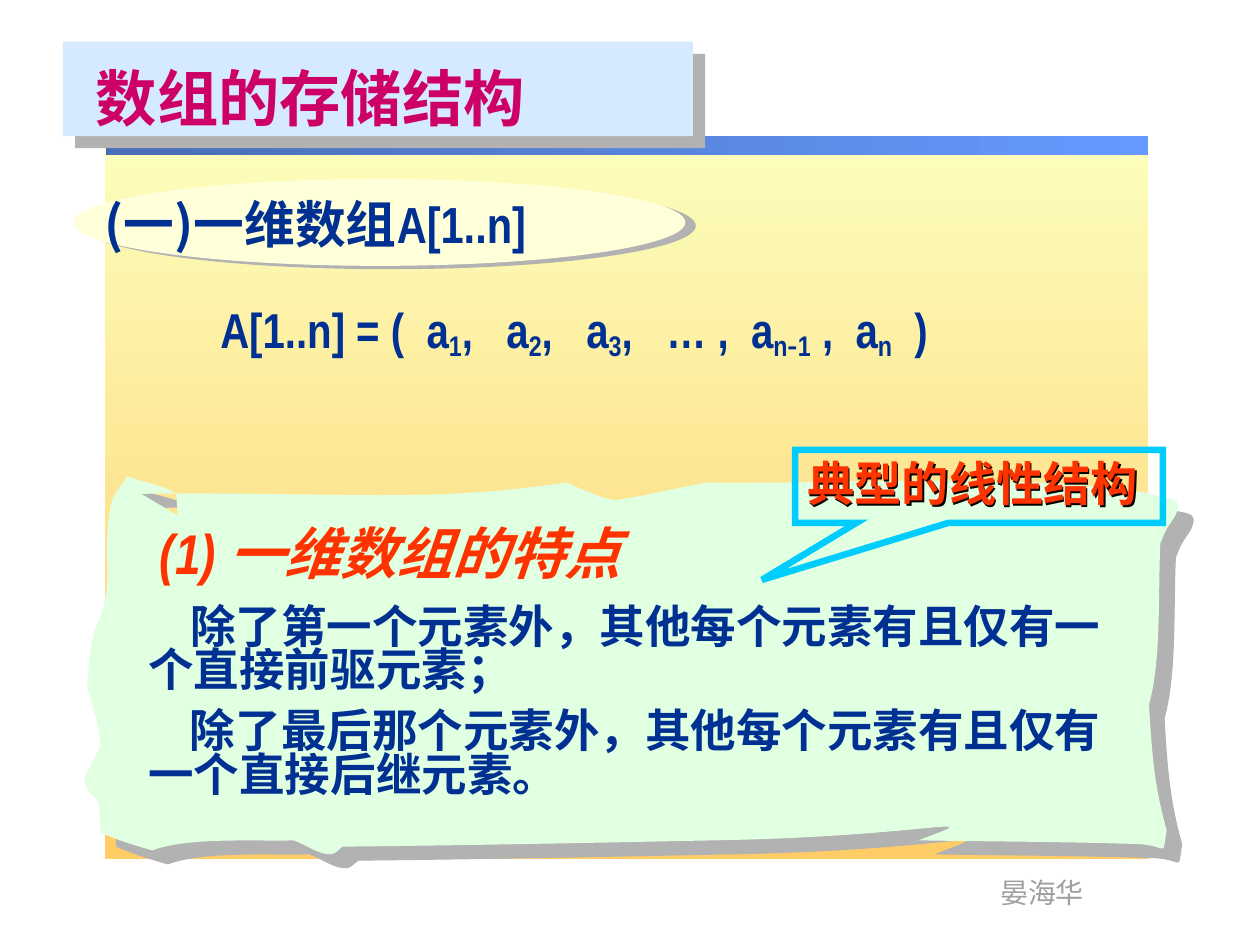
import pptx
import pptx.util
import pptx.dml.color
import pptx.enum.shapes
import pptx.enum.text
import pptx.oxml
import pptx.oxml.ns

RGBColor = pptx.dml.color.RGBColor
SHAPE = pptx.enum.shapes.MSO_SHAPE
Pt = pptx.util.Pt

PX = 9144  # EMU per px, 100 px to the inch
LATIN, HAN = "Arial Narrow", "Noto Sans CJK SC"
NAMESPACE = pptx.oxml.ns.nsdecls("a")

NAVY = RGBColor(0x00, 0x31, 0x92)
RED = RGBColor(0xFF, 0x33, 0x00)
MAGENTA = RGBColor(0xCC, 0x00, 0x66)
GREY = RGBColor(0x9F, 0x9F, 0x9F)
SHADOW = RGBColor(0xB2, 0xB2, 0xB2)
BLACK = RGBColor(0x00, 0x00, 0x00)
CYAN = RGBColor(0x00, 0xCC, 0xFF)
SKY = RGBColor(0xD5, 0xEA, 0xFF)
CREAM = RGBColor(0xFF, 0xFF, 0xD9)
MINT = RGBColor(0xE1, 0xFF, 0xE1)
PALE_YELLOW = RGBColor(0xFC, 0xFE, 0xBC)
ORANGE = RGBColor(0xFF, 0xCC, 0x66)
STEEL = RGBColor(0x49, 0x6D, 0xB6)
BLUE = RGBColor(0x66, 0x99, 0xFF)


def add_shadow(shape, color, distance, angle):
    shape.shadow.inherit = False
    effects = shape._element.spPr.find(pptx.oxml.ns.qn("a:effectLst"))
    effects.append(pptx.oxml.parse_xml(
        f'<a:outerShdw {NAMESPACE} blurRad="0" dist="{Pt(distance)}" '
        f'dir="{angle * 60000}" algn="tl" rotWithShape="0">'
        f'<a:srgbClr val="{color}"/></a:outerShdw>'))


def write(box, parts, size, color, bold=True, italic=False):
    """Fill a text frame; each part is its text, font and baseline shift in percent."""
    frame = box.text_frame
    frame.word_wrap = True
    frame.auto_size = pptx.enum.text.MSO_AUTO_SIZE.NONE
    frame.vertical_anchor = pptx.enum.text.MSO_ANCHOR.TOP
    para = frame.paragraphs[0]
    para.alignment = pptx.enum.text.PP_ALIGN.LEFT
    for text, font, shift in parts:
        span = para.add_run()
        span.text = text
        span.font.size = Pt(size)
        span.font.bold = bold
        span.font.italic = italic
        span.font.color.rgb = color
        span.font.name = font
        properties = span._r.get_or_add_rPr()
        if shift:
            properties.set("baseline", str(shift * 1000))
        properties.find(pptx.oxml.ns.qn("a:latin")).addnext(
            pptx.oxml.parse_xml(f'<a:ea {NAMESPACE} typeface="{HAN}"/>'))
    return para


deck = pptx.Presentation()
deck.slide_width, deck.slide_height = 1000 * PX, 750 * PX
page = deck.slides.add_slide(deck.slide_layouts[5])
shapes = page.shapes

# Yellow panel and the blue bar along its top
for left, top, width, height, start, end, angle in (
    (83, 110, 828, 572, PALE_YELLOW, ORANGE, 270),
    (84, 108, 827, 15, STEEL, BLUE, 0),
):
    panel = shapes.add_shape(SHAPE.RECTANGLE, left * PX, top * PX, width * PX, height * PX)
    panel.shadow.inherit = False
    panel.line.fill.background()
    panel.fill.gradient()
    panel.fill.gradient_angle = angle
    for stop, color in zip(panel.fill.gradient_stops, (start, end)):
        stop.color.rgb = color

# Author
author = shapes.add_textbox(784 * PX, 690 * PX, 87 * PX, 37 * PX)
write(author, [("晏海华", LATIN, 0)], 16, GREY, bold=False)
author.text_frame.word_wrap = False

# Array formula with subscripts
formula = shapes.add_textbox(165 * PX, 233 * PX, 735 * PX, 57 * PX)
write(formula, [
    ("A[1..n] = (  a", LATIN, 0), ("1", LATIN, -16), (",   a", LATIN, 0),
    ("2", LATIN, -16), (",   a", LATIN, 0), ("3", LATIN, -16),
    (",   … ,  a", LATIN, 0), ("n", LATIN, -16), ("-", HAN, -16), ("1", LATIN, -16),
    (" ,  a", LATIN, 0), ("n", LATIN, -16), ("  )", LATIN, 0)], 28, NAVY)

# Torn paper: Bézier segments, each two control points and an end point
torn_start = (112, 392)
torn_curves = (
    (275, 390, 333, 400, 450, 383), (463, 389, 474, 394, 487, 397),
    (512, 394, 537, 387, 562, 383), (657, 385, 814, 374, 914, 392),
    (928, 398, 940, 393, 933, 409), (931, 413, 928, 416, 926, 420),
    (924, 423, 923, 427, 921, 431), (919, 469, 922, 524, 912, 559),
    (914, 595, 916, 624, 926, 659), (922, 682, 928, 671, 903, 670),
    (845, 668, 787, 668, 729, 667), (790, 644, 739, 664, 567, 667),
    (469, 669, 370, 671, 272, 672), (269, 674, 266, 678, 263, 678),
    (254, 679, 242, 670, 233, 667), (208, 668, 149, 664, 121, 675),
    (107, 671, 94, 667, 80, 661), (79, 653, 80, 644, 78, 637),
    (76, 632, 71, 630, 69, 625), (67, 623, 67, 620, 67, 617),
    (70, 611, 73, 606, 76, 600), (77, 597, 80, 592, 80, 592),
    (78, 573, 74, 562, 69, 545), (71, 524, 71, 507, 80, 489),
    (82, 482, 84, 475, 85, 467), (86, 444, 83, 419, 89, 397),
    (92, 390, 97, 385, 101, 378), (114, 383, 127, 384, 140, 392),
)
torn_end = (141, 409)
builder = shapes.build_freeform(*torn_start, scale=PX)
builder.add_line_segments([curve[4:] for curve in torn_curves] + [torn_end])
paper = builder.convert_to_shape()
paper.fill.solid()
paper.fill.fore_color.rgb = MINT
paper.line.fill.background()
add_shadow(paper, SHADOW, 12, 42)

# Bend every straight segment but the last into its curve
paper_left, paper_top = round(paper.left / PX), round(paper.top / PX)
segments = list(paper._element.iter(pptx.oxml.ns.qn("a:lnTo")))
for segment, curve in zip(segments, torn_curves):
    points = "".join(
        f'<a:pt x="{x - paper_left}" y="{y - paper_top}"/>'
        for x, y in zip(curve[::2], curve[1::2]))
    segment.getparent().replace(segment, pptx.oxml.parse_xml(
        f'<a:cubicBezTo {NAMESPACE}>{points}</a:cubicBezTo>'))

# Heading and two statements on the paper
heading = shapes.add_textbox(117 * PX, 407 * PX, 430 * PX, 64 * PX)
write(heading, [("(1) ", LATIN, 0), ("一维数组的特点", HAN, 0)], 32, RED, italic=True)
for top, width, text in (
    (478, 792, "除了第一个元素外，其他每个元素有且仅有一个直接前驱元素；"),
    (561, 800, "除了最后那个元素外，其他每个元素有且仅有一个直接后继元素。"),
):
    statement = shapes.add_textbox(108 * PX, top * PX, width * PX, 80 * PX)
    para = write(statement, [(text, HAN, 0)], 26, NAVY)
    para.line_spacing = 0.8
    para._p.get_or_add_pPr().set("indent", str(33 * PX))

# Callout
callout = shapes.add_shape(SHAPE.RECTANGULAR_CALLOUT, 631 * PX, 357 * PX, 292 * PX, 58 * PX)
callout.adjustments[0], callout.adjustments[1] = -0.59, 1.28
callout.shadow.inherit = False
callout.fill.background()
callout.line.color.rgb = CYAN
callout.line.width = Pt(3.75)
callout.line._get_or_add_ln().append(
    pptx.oxml.parse_xml(f'<a:miter {NAMESPACE} lim="800000"/>'))
remark = shapes.add_textbox(631 * PX, 356 * PX, 310 * PX, 56 * PX)
write(remark, [("典型的线性结构", LATIN, 0)], 27, RED)
remark.fill.background()
add_shadow(remark, BLACK, 1, 45)

# Title card and section oval
for kind, left, top, width, height, color, distance, angle in (
    (SHAPE.RECTANGLE, 50, 33, 500, 75, SKY, 9.9, 45),
    (SHAPE.OVAL, 58, 142, 486, 69, CREAM, 6.3, 18),
):
    card = shapes.add_shape(kind, left * PX, top * PX, width * PX, height * PX)
    card.fill.solid()
    card.fill.fore_color.rgb = color
    card.line.fill.background()
    add_shadow(card, SHADOW, distance, angle)

# Title, brought in front of its card
title = shapes.title
title.left, title.top, title.width, title.height = 66 * PX, 43 * PX, 476 * PX, 69 * PX
write(title, [("数组的存储结构", LATIN, 0)], 35, MAGENTA)
shapes._spTree.append(title._element)

# Section name
section = shapes.add_textbox(73 * PX, 148 * PX, 547 * PX, 59 * PX)
write(section, [("(一)一维数组", HAN, 0), ("A[1..n]", LATIN, 0)], 29, NAVY)

deck.save("out.pptx")
